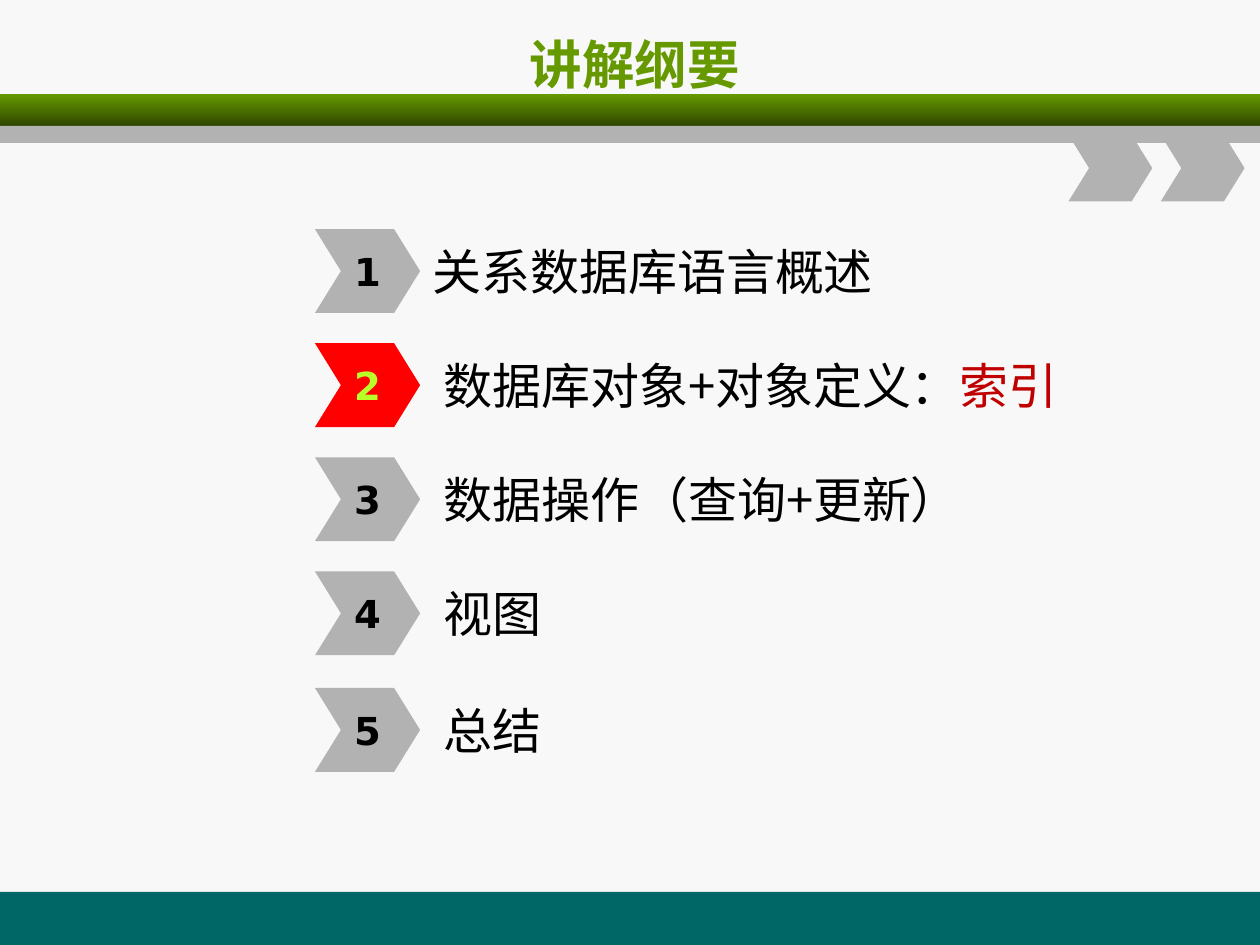
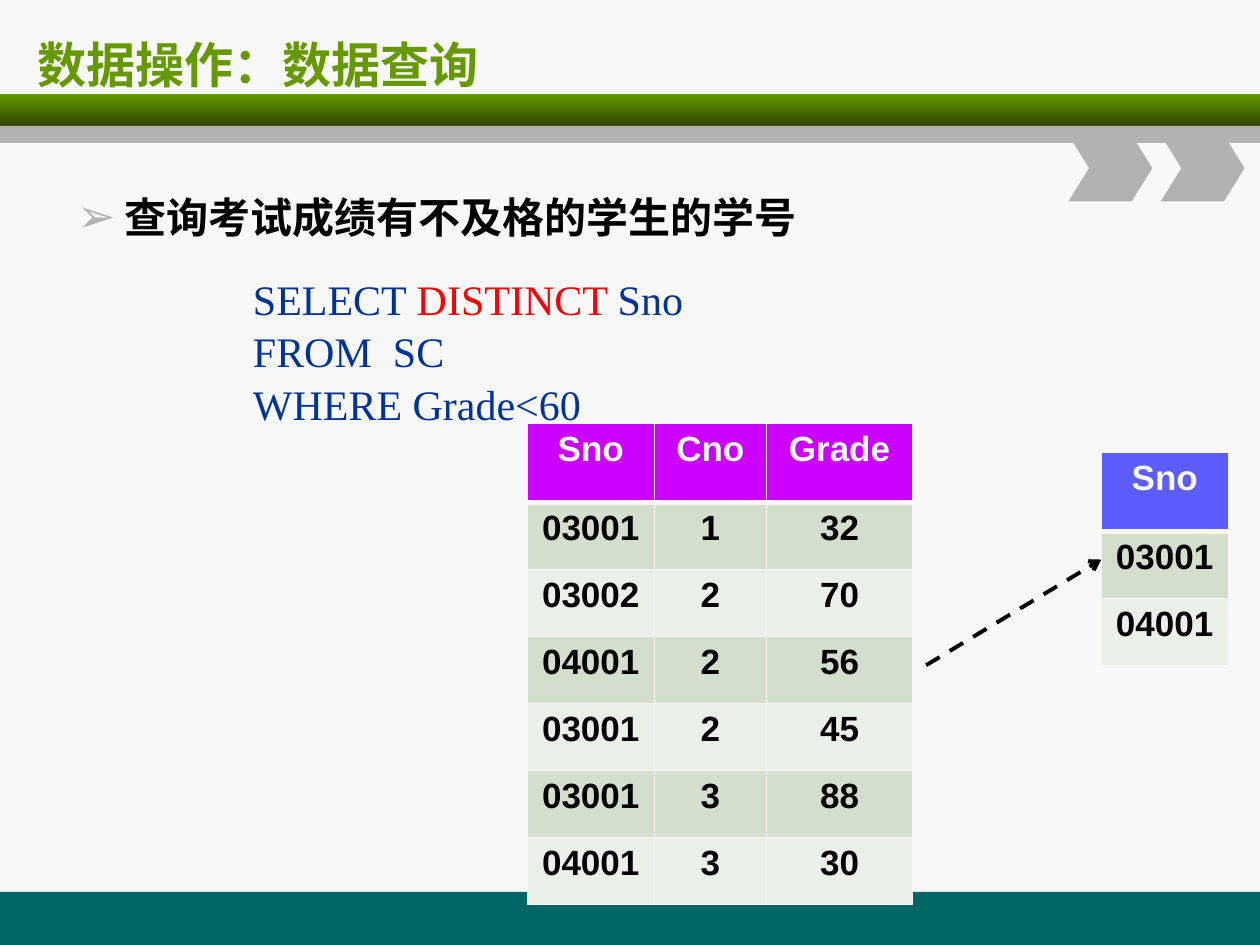
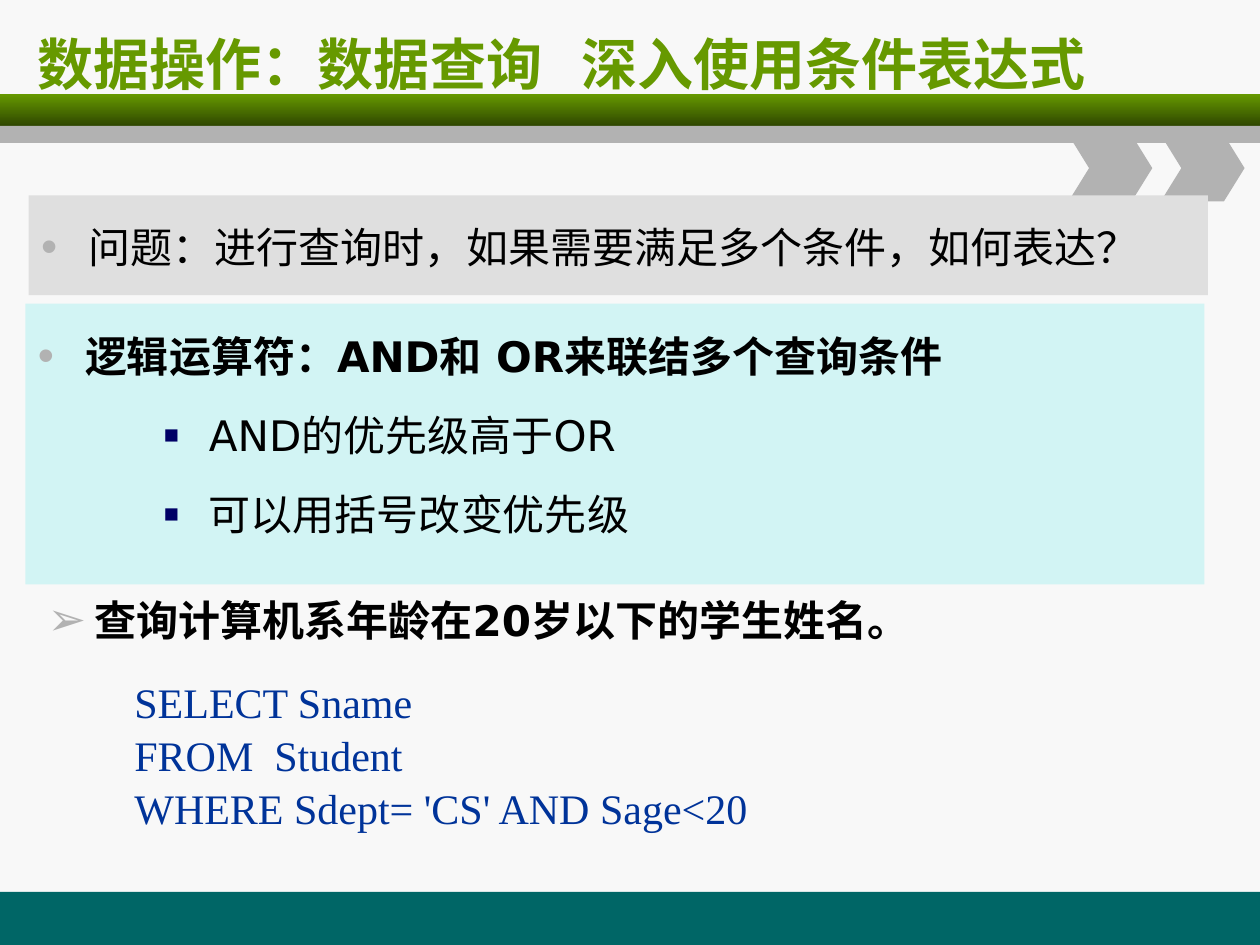
from lxml.etree import SubElement
from pptx import Presentation
from pptx.dml.color import RGBColor
from pptx.enum.dml import MSO_LINE
from pptx.enum.shapes import MSO_CONNECTOR, MSO_SHAPE
from pptx.enum.text import MSO_ANCHOR, MSO_AUTO_SIZE, PP_ALIGN
from pptx.oxml.ns import qn
from pptx.util import Cm, Pt

GREEN = RGBColor(0x66, 0x99, 0x00)
DARK_GREEN = RGBColor(0x2F, 0x47, 0x00)
TEAL = RGBColor(0x00, 0x66, 0x66)
GRAY = RGBColor(0xB2, 0xB2, 0xB2)
LIGHT_GRAY = RGBColor(0xDF, 0xDF, 0xDF)
PALE = RGBColor(0xF8, 0xF8, 0xF8)
BLACK = RGBColor(0x00, 0x00, 0x00)
RED = RGBColor(0xFF, 0x00, 0x00)
DARK_RED = RGBColor(0xC0, 0x00, 0x00)
LIME = RGBColor(0xB8, 0xFF, 0x29)
BLUE = RGBColor(0x00, 0x33, 0x99)
NAVY = RGBColor(0x00, 0x00, 0x66)
AQUA = RGBColor(0xD2, 0xF4, 0xF4)
MAGENTA = RGBColor(0xCC, 0x00, 0xFF)
VIOLET = RGBColor(0x5C, 0x5C, 0xFF)
ROW_FILLS = [RGBColor(0xD3, 0xDE, 0xCC), RGBColor(0xEA, 0xEF, 0xE7)]

SANS, CJK, SERIF, ARIAL = "DejaVu Sans", "Noto Sans CJK SC", "Times New Roman", "Arial"


def style(p, size, font, color, bold=False):
    """Format every run of a paragraph, for Latin and East Asian text alike."""
    for r in p.runs:
        r.font.size = Pt(size)
        r.font.name = font
        r.font.bold = bold
        r.font.color.rgb = color
        SubElement(r.font._element, qn("a:ea"), typeface=font)


def bullet(p, char, color=GRAY, percent=110, left=0.95, hang=0.95):
    """Give a paragraph a coloured bullet and a hanging indent in cm."""
    p.space_before = Pt(5)
    pPr = p._p.get_or_add_pPr()
    pPr.set("marL", str(Cm(left)))
    pPr.set("indent", str(-Cm(hang)))
    SubElement(SubElement(pPr, qn("a:buClr")), qn("a:srgbClr"), val=str(color))
    SubElement(pPr, qn("a:buSzPct"), val=str(percent * 1000))
    SubElement(pPr, qn("a:buFont"), typeface=ARIAL)
    SubElement(pPr, qn("a:buChar"), char=char)


prs = Presentation()
prs.slide_width, prs.slide_height = Cm(25.4), Cm(19.05)
master = prs.slide_master
master.background.fill.solid()
master.background.fill.fore_color.rgb = PALE

# Slides and titles
titles = [
    ("讲解纲要", 5, 30, CJK, PP_ALIGN.CENTER, 1.37, 22.86),
    ("数据操作：数据查询", 1, 28, SANS, PP_ALIGN.LEFT, 0.51, 24.26),
    ("数据操作：数据查询  深入使用条件表达式", 1, 32, SANS, PP_ALIGN.LEFT, 0.51, 24.26),
]
for text, layout, size, font, align, left, width in titles:
    s = prs.slides.add_slide(prs.slide_layouts[layout])
    sp = s.shapes.title
    sp.left, sp.top, sp.width, sp.height = Cm(left), Cm(0.43), Cm(width), Cm(1.7)
    tf = sp.text_frame
    tf.text = text
    tf.auto_size = MSO_AUTO_SIZE.NONE
    tf.vertical_anchor = MSO_ANCHOR.MIDDLE
    tf.paragraphs[0].alignment = align
    style(tf.paragraphs[0], size, font, GREEN, True)
outline, query, conditions = prs.slides

# Bands and chevrons, moved to the master behind its placeholders
decorations = [
    (MSO_SHAPE.RECTANGLE, 0, 17.98, 25.4, 1.07, TEAL),
    (MSO_SHAPE.RECTANGLE, 0, 1.9, 25.4, 0.64, None),
    (MSO_SHAPE.RECTANGLE, 0, 2.54, 25.4, 0.34, GRAY),
    (MSO_SHAPE.CHEVRON, 21.54, 2.72, 1.69, 1.34, GRAY),
    (MSO_SHAPE.CHEVRON, 23.4, 2.72, 1.69, 1.34, GRAY),
]
for i, (kind, left, top, width, height, color) in enumerate(decorations):
    sp = outline.shapes.add_shape(kind, Cm(left), Cm(top), Cm(width), Cm(height))
    sp.shadow.inherit = False
    sp.line.fill.background()
    if color is None:
        sp.fill.gradient()
        sp.fill.gradient_angle = 270
        for stop, shade in zip(sp.fill.gradient_stops, (GREEN, DARK_GREEN)):
            stop.color.rgb = shade
    else:
        sp.fill.solid()
        sp.fill.fore_color.rgb = color
    if kind == MSO_SHAPE.CHEVRON:
        sp.adjustments[0] = 0.31
    master.shapes.element.insert(2 + i, sp.element)

# Slide 1: numbered outline
topics = [
    (4.62, "关系数据库语言概述"),
    (6.92, " 数据库对象+对象定义："),
    (9.22, " 数据操作（查询+更新）"),
    (11.52, " 视图"),
    (13.87, " 总结"),
]
for number, (top, topic) in enumerate(topics, 1):
    current = number == 2
    sp = outline.shapes.add_textbox(Cm(8.47), Cm(top + 0.1), Cm(15.04), Cm(1.48))
    tf = sp.text_frame
    tf.word_wrap = True
    tf.vertical_anchor = MSO_ANCHOR.MIDDLE
    p = tf.paragraphs[0]
    p.text = topic
    if current:
        p.add_run().text = "索引"
    style(p, 28, CJK, BLACK)
    if current:
        p.runs[1].font.color.rgb = DARK_RED

    sp = outline.shapes.add_shape(MSO_SHAPE.CHEVRON, Cm(6.35), Cm(top), Cm(2.12), Cm(1.69))
    sp.adjustments[0] = 0.31
    sp.shadow.inherit = False
    sp.line.fill.background()
    sp.fill.solid()
    sp.fill.fore_color.rgb = RED if current else GRAY
    tf = sp.text_frame
    tf.text = str(number)
    tf.word_wrap = False
    tf.vertical_anchor = MSO_ANCHOR.MIDDLE
    tf.paragraphs[0].alignment = PP_ALIGN.CENTER
    style(tf.paragraphs[0], 22, SANS, LIME if current else BLACK, True)

# Slide 2: query with source and result tables
sp = query.placeholders[1]
sp.left, sp.top, sp.width, sp.height = Cm(1.3), Cm(3.73), Cm(20.47), Cm(13.77)
tf = sp.text_frame
tf.text = "查询考试成绩有不及格的学生的学号"
tf.auto_size = MSO_AUTO_SIZE.NONE
style(tf.paragraphs[0], 24, SANS, BLACK, True)
bullet(tf.paragraphs[0], "➢")

grades = [
    ("Sno", "Cno", "Grade"),
    ("03001", "1", "32"),
    ("03002", "2", "70"),
    ("04001", "2", "56"),
    ("03001", "2", "45"),
    ("03001", "3", "88"),
    ("04001", "3", "30"),
]
failed = [("Sno",), ("03001",), ("04001",)]
tables = [
    (grades, 10.63, 8.53, [2.56, 2.26, 2.95], MAGENTA),
    (failed, 22.2, 9.12, [2.56], VIOLET),
]
for rows, left, top, widths, header_fill in tables:
    heights = [1.6] + [1.35] * (len(rows) - 1)
    table = query.shapes.add_table(len(rows), len(widths), Cm(left), Cm(top),
                                   Cm(sum(widths)), Cm(sum(heights))).table
    for column, width in zip(table.columns, widths):
        column.width = Cm(width)
    for i, values in enumerate(rows):
        table.rows[i].height = Cm(heights[i])
        for j, value in enumerate(values):
            cell = table.cell(i, j)
            cell.text = value
            p = cell.text_frame.paragraphs[0]
            p.alignment = PP_ALIGN.CENTER
            p.space_before = Pt(4)
            style(p, 20, ARIAL, BLACK if i else PALE, True)
            tcPr = cell._tc.get_or_add_tcPr()
            for side in ("lnL", "lnR", "lnT", "lnB"):
                thick = (i, side) in ((0, "lnB"), (1, "lnT"))
                ln = SubElement(tcPr, qn("a:" + side), w=str(Pt(3 if thick else 1)))
                SubElement(SubElement(ln, qn("a:solidFill")), qn("a:srgbClr"), val=str(PALE))
            cell.fill.solid()
            cell.fill.fore_color.rgb = ROW_FILLS[(i - 1) % 2] if i else header_fill

arrow = query.shapes.add_connector(MSO_CONNECTOR.STRAIGHT, Cm(18.67), Cm(13.41), Cm(22.2), Cm(11.28))
arrow.line.color.rgb = BLACK
arrow.line.width = Pt(2.25)
arrow.line.dash_style = MSO_LINE.DASH
SubElement(arrow.line._get_or_add_ln(), qn("a:tailEnd"), type="arrow")
SubElement(arrow.element.spPr, qn("a:effectLst"))

# Slide 3: combining conditions
sp = conditions.placeholders[1]
sp.left, sp.top, sp.width, sp.height = Cm(0.51), Cm(6.12), Cm(23.77), Cm(5.66)
sp.fill.solid()
sp.fill.fore_color.rgb = AQUA
tf = sp.text_frame
tf.text = "逻辑运算符：AND和 OR来联结多个查询条件\n AND的优先级高于OR\n 可以用括号改变优先级"
tf.auto_size = MSO_AUTO_SIZE.NONE
for i, p in enumerate(tf.paragraphs):
    p.line_spacing = 1.4
    style(p, 24, SANS, BLACK, i == 0)
    if i == 0:
        bullet(p, "•")
    else:
        p.level = 1
        bullet(p, "■", NAVY, 60, 3.18, 0.64)

notes = [
    ("问题：进行查询时，如果需要满足多个条件，如何表达？", "•", 0.58, 3.94, 23.77, 1.4, False, LIGHT_GRAY),
    ("查询计算机系年龄在20岁以下的学生姓名。", "➢", 0.71, 11.86, 20.47, 1, True, None),
]
for text, mark, left, top, width, spacing, bold, fill in notes:
    sp = conditions.shapes.add_textbox(Cm(left), Cm(top), Cm(width), Cm(2.01))
    if fill is not None:
        sp.fill.solid()
        sp.fill.fore_color.rgb = fill
    tf = sp.text_frame
    tf.text = text
    tf.word_wrap = True
    p = tf.paragraphs[0]
    p.line_spacing = spacing
    style(p, 24, SANS, BLACK, bold)
    bullet(p, mark)

# SQL statements on slides 2 and 3; each line is a list of runs
statements = [
    (query, 4.85, 5.33, 11.66, [["SELECT ", "DISTINCT ", "Sno"], ["FROM  SC"], ["WHERE Grade<60"]]),
    (conditions, 2.46, 13.46, 18.8,
     [["SELECT Sname"], ["FROM  Student"], ["WHERE Sdept= 'CS' AND Sage<20"]]),
]
for s, left, top, width, lines in statements:
    tf = s.shapes.add_textbox(Cm(left), Cm(top), Cm(width), Cm(3.33)).text_frame
    tf.word_wrap = True
    for i, parts in enumerate(lines):
        p = tf.add_paragraph() if i else tf.paragraphs[0]
        p.line_spacing = 1.05
        for part in parts:
            p.add_run().text = part
        style(p, 24, SERIF, BLUE)
        for r in p.runs:
            if r.text == "DISTINCT ":
                r.font.color.rgb = RED

prs.save("out.pptx")
